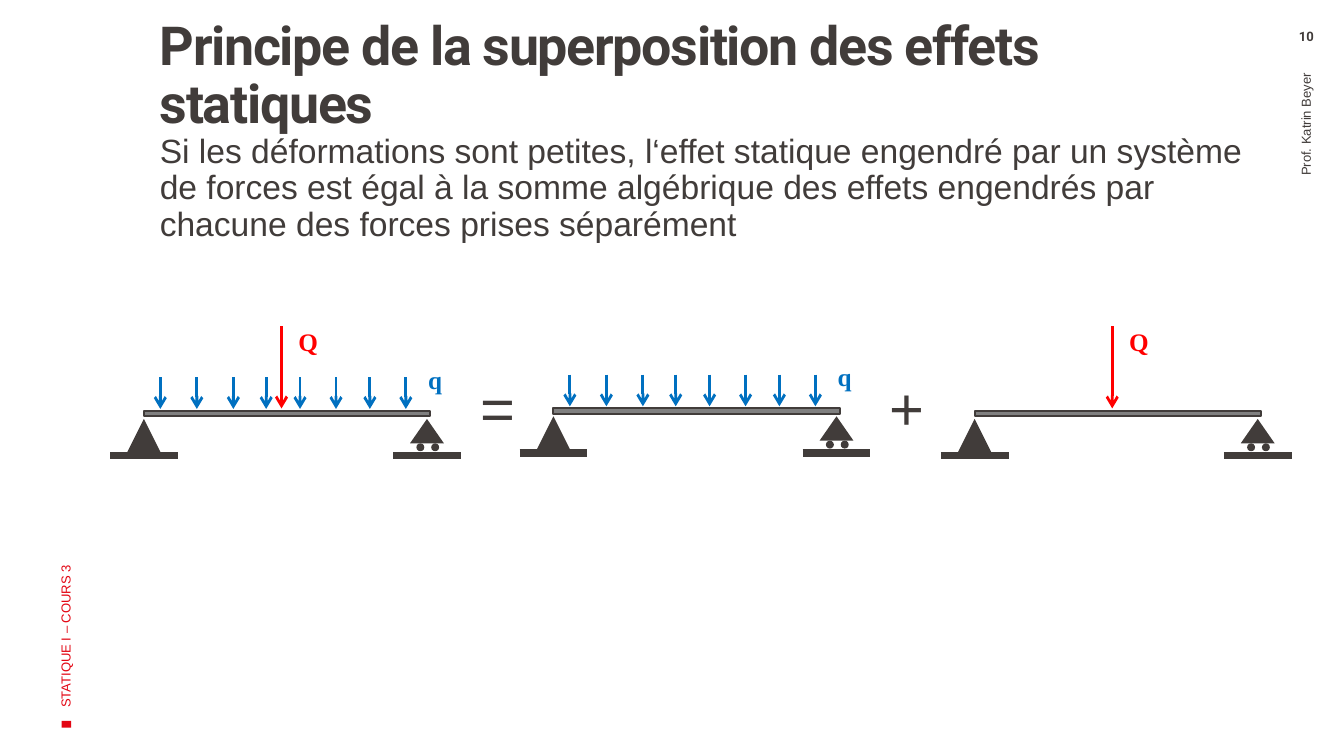
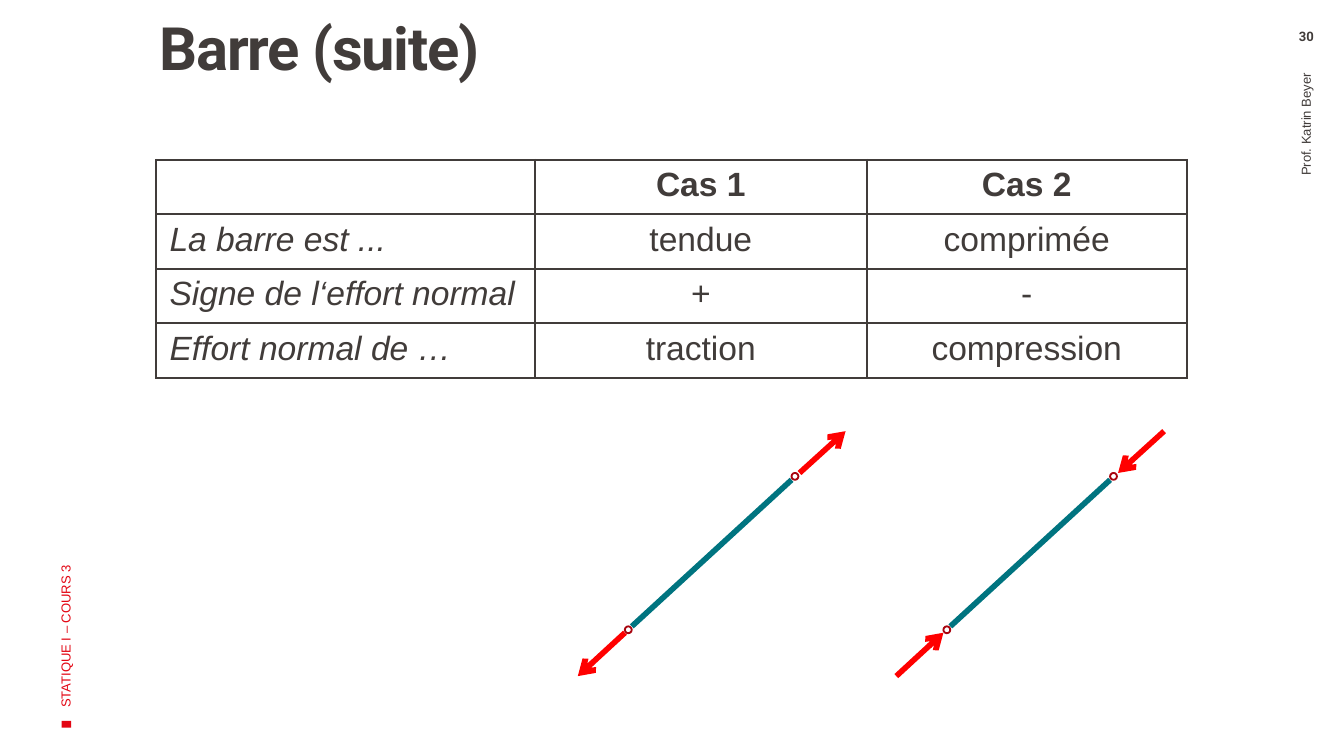
"""Two course slides on superposition of static effects and on bars."""
from dataclasses import dataclass

from lxml import etree
from pptx import Presentation
from pptx import util as u
from pptx.dml.color import RGBColor
from pptx.enum import shapes, text
from pptx.oxml.ns import qn


@dataclass(frozen=True)
class Theme:
    ink: str = "413C3A"
    red: str = "E30613"
    force: str = "FF0000"
    load: str = "0070C0"
    beam: str = "808080"
    bar: str = "007480"
    pin: str = "A8040E"
    heading: str = "Roboto"
    sans: str = "Arial"
    serif: str = "Times New Roman"
    body_size: float = 18
    small_size: float = 7
    label_size: float = 13.5
    sign_size: float = 32


THEME = Theme()
SHAPE = shapes.MSO_SHAPE
ALIGN = text.PP_ALIGN
LOAD_OFFSETS = (0.31, 1.0, 1.69, 2.31, 2.95, 3.63, 4.27, 4.95)
INSETS = (0.25, 0.13, 0.25, 0.13)


def rgb(code):
    return RGBColor.from_string(code)


def place(item, left, top, width, height):
    item.left, item.top = u.Cm(left), u.Cm(top)
    item.width, item.height = u.Cm(width), u.Cm(height)


def write(frame, content, size, font=THEME.sans, color=THEME.ink,
          bold=False, italic=False, align=ALIGN.LEFT):
    """Put one paragraph in a text frame and return it."""
    para = frame.paragraphs[0]
    para.add_run().text = content
    para.alignment = align
    para.font.name, para.font.size = font, u.Pt(size)
    para.font.bold, para.font.italic = bold, italic
    para.font.color.rgb = rgb(color)
    return para


def prepare(frame, insets=INSETS, anchor=text.MSO_ANCHOR.TOP, wrap=True):
    """Set margins (left, top, right, bottom), anchor and wrapping."""
    left, top, right, bottom = insets
    frame.margin_left, frame.margin_top = u.Cm(left), u.Cm(top)
    frame.margin_right, frame.margin_bottom = u.Cm(right), u.Cm(bottom)
    frame.vertical_anchor = anchor
    frame.word_wrap = wrap
    fit = text.MSO_AUTO_SIZE
    frame.auto_size = fit.NONE if wrap else fit.SHAPE_TO_FIT_TEXT


def add_text(parent, area, content, size, insets=INSETS, wrap=True,
             anchor=text.MSO_ANCHOR.TOP, rotation=0, **style):
    box = parent.add_textbox(*map(u.Cm, area))
    box.rotation = rotation
    prepare(box.text_frame, insets, anchor, wrap)
    write(box.text_frame, content, size, **style)


def add_figure(parent, kind, area, fill=None, line=None):
    """Draw a preset shape with an optional fill and 1 pt outline."""
    figure = parent.add_shape(kind, *map(u.Cm, area))
    figure.shadow.inherit = False
    if fill:
        figure.fill.solid()
        figure.fill.fore_color.rgb = rgb(fill)
    else:
        figure.fill.background()
    if line:
        figure.line.color.rgb = rgb(line)
        figure.line.width = u.Pt(1)
    else:
        figure.line.fill.background()
    return figure


def add_line(parent, start, end, color, width, arrow=False):
    """Draw a straight line, with an arrowhead at its end if wanted."""
    line = parent.add_connector(shapes.MSO_CONNECTOR.STRAIGHT,
                                *map(u.Cm, (*start, *end)))
    line.line.color.rgb = rgb(color)
    line.line.width = u.Pt(width)
    properties = line._element.spPr
    if arrow:
        outline = properties.find(qn("a:ln"))
        etree.SubElement(outline, qn("a:tailEnd"), type="arrow")
    etree.SubElement(properties, qn("a:effectLst"))


def add_page(deck, layout, title, title_size, number):
    """Add a page with its title, side texts and page number."""
    page = deck.slides.add_slide(deck.slide_layouts[layout])
    heading = page.shapes.title
    place(heading, 2.51, 0.36, 19.48, 2.97)
    prepare(heading.text_frame, (0.51, 0, 0.2, 0.13))
    para = write(heading.text_frame, title, title_size, THEME.heading, bold=True)
    para.line_spacing = 0.9
    para.runs[0]._r.get_or_add_rPr().set("spc", "-70")

    marker = add_figure(page.shapes, SHAPE.RECTANGLE, (1.19, 13.6, 0.13, 0.18),
                        THEME.red)
    marker.rotation = 270
    middle = text.MSO_ANCHOR.MIDDLE
    add_text(page.shapes, (-3.4, 7.72, 9.27, 2.54), "STATIQUE I – COURS 3",
             THEME.small_size, anchor=middle, rotation=270, color=THEME.red)
    add_text(page.shapes, (19.76, 5.21, 9.83, 1.42), "Prof. Katrin Beyer",
             THEME.small_size, (0.25, 0.13, 0.38, 0.13), anchor=middle,
             rotation=270, align=ALIGN.RIGHT)
    add_text(page.shapes, (23.98, 0.53, 1.42, 0.46), number, THEME.small_size,
             (0.25, 0, 0.25, 0), font=THEME.heading, bold=True,
             align=ALIGN.CENTER)
    return page


def fill_body(page, content):
    """Fill the body placeholder with one plain paragraph."""
    body = page.placeholders[1]
    place(body, 2.51, 2.41, 21.46, 2.97)
    prepare(body.text_frame, (0.51, 0.13, 0.25, 0.13))
    properties = body.text_frame.paragraphs[0]._p.get_or_add_pPr()
    properties.set("marL", "0")
    properties.set("indent", "0")
    etree.SubElement(properties, qn("a:buNone"))
    para = write(body.text_frame, content, THEME.body_size)
    para.line_spacing = 0.9
    para.space_before = u.Pt(0)


def add_support(parent, center, top, height):
    """Draw a triangular support on its ground line."""
    add_figure(parent, SHAPE.ISOSCELES_TRIANGLE,
               (center - 0.32, top + 0.15, 0.64, height), THEME.ink)
    add_line(parent, (center - 0.64, top + 0.84), (center + 0.64, top + 0.84),
             THEME.ink, 4)


def add_beam(page, left, top, point_load=False, spread_load=False):
    """Draw a simply supported beam with the loads asked for."""
    parent = page.shapes.add_group_shape().shapes
    roller = left + 5.35
    add_support(parent, left, top, 0.64)
    add_support(parent, roller, top, 0.46)
    for shift in (-0.2, 0.08):
        add_figure(parent, SHAPE.OVAL, (roller + shift, top + 0.61, 0.15, 0.15),
                   THEME.ink)
    add_figure(parent, SHAPE.RECTANGLE, (left, top, 5.41, 0.1),
               THEME.beam, THEME.ink)
    if point_load:
        add_line(parent, (left + 2.6, top - 1.6), (left + 2.6, top - 0.05),
                 THEME.force, 1.5, arrow=True)
        add_text(parent, (left + 2.67, top - 1.73, 0.81, 0.81), "Q",
                 THEME.label_size, wrap=False, font=THEME.serif,
                 color=THEME.force, bold=True)
    if spread_load:
        for offset in LOAD_OFFSETS:
            add_line(parent, (left + offset, top - 0.64),
                     (left + offset, top - 0.04), THEME.load, 1.5, arrow=True)
        add_text(parent, (left + 5.12, top - 1.02, 0.69, 0.81), "q",
                 THEME.label_size, wrap=False, font=THEME.serif,
                 color=THEME.load, bold=True)


def add_bar(page, shift, tension):
    """Draw a pinned bar pulled or pushed at both ends."""
    parent = page.shapes.add_group_shape().shapes
    add_line(parent, (11.94 + shift, 11.84), (14.96 + shift, 9.07), THEME.bar, 3)
    for left, top in ((14.96, 8.94), (11.81, 11.84)):
        add_figure(parent, SHAPE.OVAL, (left + shift, top, 0.13, 0.13),
                   line=THEME.pin)
    for inner, outer in (((15.11, 8.94), (15.98, 8.15)),
                         ((11.81, 11.96), (10.92, 12.78))):
        ends = [(x + shift, y) for x, y in (inner, outer)]
        start, end = ends if tension else reversed(ends)
        add_line(parent, start, end, THEME.force, 3, arrow=True)


def add_borders(cell):
    """Give a cell 1 pt borders and no fill."""
    properties = cell._tc.get_or_add_tcPr()
    for side in ("lnL", "lnR", "lnT", "lnB"):
        border = etree.SubElement(properties, qn(f"a:{side}"), w=str(u.Pt(1)))
        paint = etree.SubElement(border, qn("a:solidFill"))
        etree.SubElement(paint, qn("a:srgbClr"), val=THEME.ink)
    cell.fill.background()


def add_grid(page, rows, widths):
    """Add a table with bold column heads and italic row heads."""
    height = 1.03
    grid = page.shapes.add_table(
        len(rows), len(widths), u.Cm(2.95), u.Cm(3.02),
        u.Cm(sum(widths)), u.Cm(height * len(rows))).table
    grid.first_row = grid.horz_banding = False
    for column, width in zip(grid.columns, widths):
        column.width = u.Cm(width)
    for r, row in enumerate(rows):
        grid.rows[r].height = u.Cm(height)
        for c, content in enumerate(row):
            cell = grid.cell(r, c)
            add_borders(cell)
            if content:
                write(cell.text_frame, content, THEME.body_size, bold=r == 0,
                      italic=c == 0, align=ALIGN.CENTER if c else ALIGN.LEFT)


def build_superposition(deck):
    page = add_page(deck, 1, "Principe de la superposition des effets statiques",
                    28.8, "10")
    fill_body(page, "Si les déformations sont petites, l‘effet statique engendré "
                    "par un système de forces est égal à la somme algébrique des "
                    "effets engendrés par chacune des forces prises séparément")
    add_beam(page, 2.72, 7.77, point_load=True, spread_load=True)
    add_beam(page, 10.46, 7.72, spread_load=True)
    add_beam(page, 18.42, 7.77, point_load=True)
    for left, sign in ((8.84, "="), (16.56, "+")):
        add_text(page.shapes, (left, 6.88, 1.09, 1.63), sign, THEME.sign_size,
                 wrap=False)


def build_bar(deck):
    page = add_page(deck, 5, "Barre (suite)", 32, "30")
    add_grid(page, (("", "Cas 1", "Cas 2"),
                    ("La barre est ...", "tendue", "comprimée"),
                    ("Signe de l‘effort normal", "+", "-"),
                    ("Effort normal de …", "traction", "compression")),
             (7.16, 6.27, 6.05))
    add_bar(page, 0, tension=True)
    add_bar(page, 6.02, tension=False)


def main():
    deck = Presentation()
    deck.slide_width, deck.slide_height = u.Cm(25.4), u.Cm(14.29)
    build_superposition(deck)
    build_bar(deck)
    deck.save("out.pptx")


if __name__ == "__main__":
    main()
